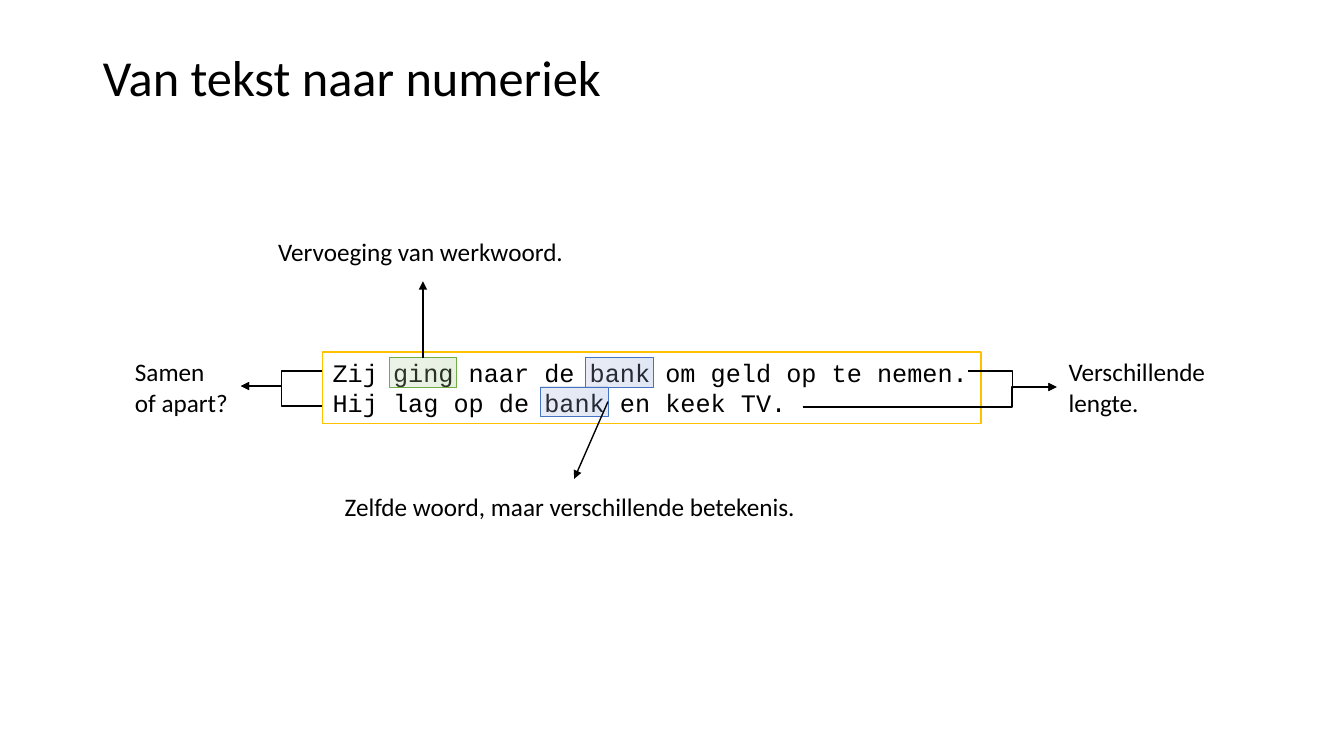
"""Build a slide on the pitfalls of turning text into numbers."""
from dataclasses import dataclass

from lxml import etree
from pptx import Presentation
from pptx import util as u
from pptx.dml.color import RGBColor
from pptx.enum import shapes, text
from pptx.oxml import parse_xml
from pptx.oxml.ns import nsdecls, qn


@dataclass(frozen=True)
class Theme:
    """Colours, fonts and sizes of the slide."""
    ink: str = "000000"
    paper: str = "FFFFFF"
    frame: str = "FFC000"
    blue: tuple = ("4472C4", "A8B7DF", "9AABD9", "889ED7")
    green: tuple = ("70AD47", "B5D5A7", "AACE9A", "9CC987")
    sans: str = "Calibri"
    mono: str = "Courier New"
    title: int = 36
    body: int = 18
    line: float = 1
    thin: float = 0.5


THEME = Theme()
CELL = u.Inches(0.1)
SENTENCES = ("Zij ging naar de bank om geld op te nemen.",
             "Hij lag op de bank en keek TV.")
SAMPLE = (32, 34.9, 65.3, 7.1)
TEXT_LEFT, CHAR_WIDTH = 33, 1.5
WORD_TOP, WORD_WIDTH, WORD_HEIGHT, WORD_PAD = 35.5, 6.7, 2.9, 0.4


def grid(*cells):
    """Turn counts of grid cells into lengths."""
    return [round(cell * CELL) for cell in cells]


def write(shape, lines, font=THEME.sans, size=THEME.body, wrap=False,
          anchor=text.MSO_ANCHOR.TOP, spacing=None,
          fit=text.MSO_AUTO_SIZE.SHAPE_TO_FIT_TEXT):
    """Write left-aligned lines into a shape."""
    frame = shape.text_frame
    frame.text = "\n".join(lines)
    frame.word_wrap, frame.auto_size = wrap, fit
    frame.vertical_anchor = anchor
    for para in frame.paragraphs:
        para.alignment = text.PP_ALIGN.LEFT
        para.line_spacing = spacing
        for span in para.runs:
            span.font.name, span.font.size = font, u.Pt(size)
            span.font.color.rgb = RGBColor.from_string(THEME.ink)


def add_title(page, words):
    """Place and format the title."""
    title = page.shapes.title
    title.left, title.top, title.width, title.height = grid(9.2, 4, 115, 7.9)
    write(title, [words], size=THEME.title, wrap=True, spacing=0.9,
          anchor=text.MSO_ANCHOR.MIDDLE, fit=text.MSO_AUTO_SIZE.NONE)


def add_label(page, place, *lines):
    """Add a text label."""
    write(page.shapes.add_textbox(*grid(*place)), lines)


def add_box(page, place, outline, width):
    """Add a rectangle with an outline and no shadow."""
    box = page.shapes.add_shape(shapes.MSO_SHAPE.RECTANGLE, *grid(*place))
    box.shadow.inherit = False
    box.line.color.rgb = RGBColor.from_string(outline)
    box.line.width = u.Pt(width)
    return box


def add_sample(page):
    """Add the framed sample sentences."""
    box = add_box(page, SAMPLE, THEME.frame, THEME.line)
    box.fill.solid()
    box.fill.fore_color.rgb = RGBColor.from_string(THEME.paper)
    write(box, SENTENCES, font=THEME.mono, anchor=text.MSO_ANCHOR.MIDDLE)


def add_highlight(page, row, word, colours):
    """Mark a word of a sentence with a translucent gradient."""
    column = SENTENCES[row].index(word)
    left = TEXT_LEFT + column * CHAR_WIDTH - WORD_PAD
    place = (left, WORD_TOP + row * WORD_HEIGHT, WORD_WIDTH, WORD_HEIGHT)
    outline, *tints = colours
    box = add_box(page, place, outline, THEME.thin)
    stops = "".join(
        f'<a:gs pos="{step * 50000}"><a:srgbClr val="{tint}">'
        '<a:alpha val="25000"/></a:srgbClr></a:gs>'
        for step, tint in enumerate(tints))
    gradient = parse_xml(f'<a:gradFill {nsdecls("a")}><a:gsLst>{stops}</a:gsLst>'
                         '<a:lin ang="0" scaled="0"/></a:gradFill>')
    box.element.spPr.find(qn("a:prstGeom")).addnext(gradient)
    return box


def add_arrow(page, start, end, kind=shapes.MSO_CONNECTOR.ELBOW, bend=None):
    """Add an arrow, with its elbow at a share of its width."""
    arrow = page.shapes.add_connector(kind, *grid(*start, *end))
    arrow.line.color.rgb = RGBColor.from_string(THEME.ink)
    arrow.line.width = u.Pt(THEME.line)
    etree.SubElement(arrow.line._get_or_add_ln(), qn("a:tailEnd"), type="triangle")
    properties = arrow._element.spPr
    etree.SubElement(properties, qn("a:effectLst"))
    if bend is not None:
        guides = properties.find(qn("a:prstGeom")).get_or_add_avLst()
        etree.SubElement(guides, qn("a:gd"), name="adj1",
                         fmla=f"val {round(bend * 100000)}")
    return arrow


def add_word_arrow(page, box, side, row):
    """Point straight from the side of a highlight to a row."""
    middle = (box.left + box.width / 2) / CELL
    arrow = add_arrow(page, (middle, row), (middle, row),
                      shapes.MSO_CONNECTOR.STRAIGHT)
    arrow.begin_connect(box, side)


def main():
    """Build and save the deck."""
    deck = Presentation()
    deck.slide_width, deck.slide_height = u.Inches(13.33), u.Inches(7.5)
    page = deck.slides.add_slide(deck.slide_layouts[5])
    add_title(page, "Van tekst naar numeriek")
    add_sample(page)

    add_highlight(page, 0, "bank", THEME.blue)
    bank = add_highlight(page, 1, "bank", THEME.blue)
    verb = add_highlight(page, 0, "ging", THEME.green)
    add_word_arrow(page, verb, 0, 27.9)
    add_word_arrow(page, bank, 3, 47.5)

    add_label(page, (26.6, 23, 30.6, 4), "Vervoeging van werkwoord.")
    add_label(page, (33.2, 48.3, 47.2, 4),
              "Zelfde woord, maar verschillende betekenis.")
    add_label(page, (12.4, 34.9, 11.3, 7.1), "Samen", "of apart?")
    add_label(page, (105, 34.9, 15.7, 7.1), "Verschillende", "lengte.")

    for start, end, bend in (((31.9, 36.8), (23.9, 38.3), 0.5),
                             ((31.9, 40.3), (23.9, 38.3), 0.5),
                             ((96, 36.8), (104.8, 38.4), 0.5),
                             ((79.6, 40.4), (104.8, 38.4), 0.825)):
        add_arrow(page, start, end, bend=bend)
    deck.save("out.pptx")


if __name__ == "__main__":
    main()
